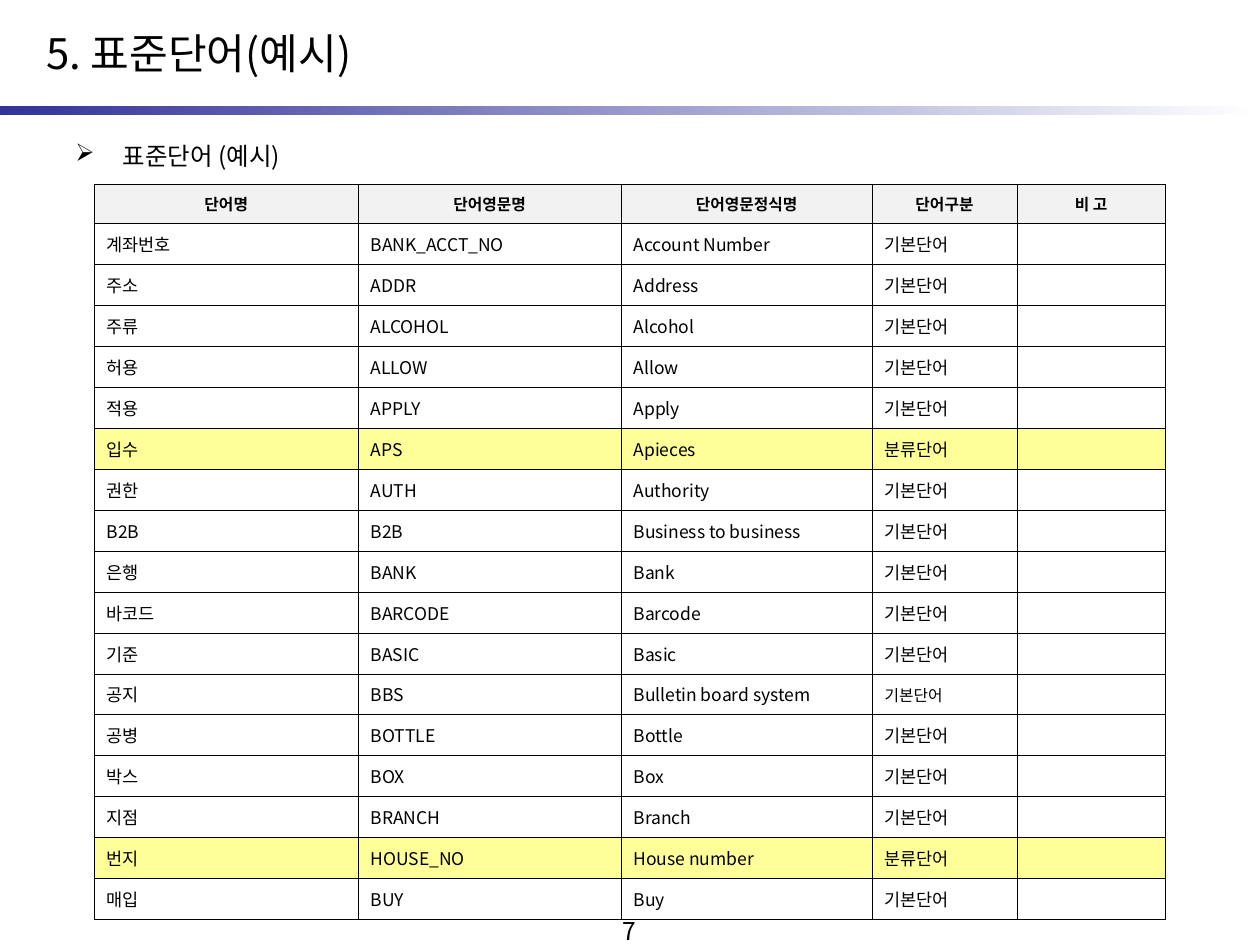
"""Build a slide that lists sample standard words in a table."""
from dataclasses import dataclass

from lxml import etree
from pptx import Presentation
from pptx import util as u
from pptx.dml.color import RGBColor
from pptx.enum import shapes, text
from pptx.oxml import ns

TITLE = "5. 표준단어(예시)"
TOPIC = "표준단어 (예시)"
PAGE = "7"
BASE, CLASS = "기본단어", "분류단어"
HEAD = ("단어명", "단어영문명", "단어영문정식명", "단어구분", "비 고")
WORDS = [
    ("계좌번호", "BANK_ACCT_NO", "Account Number", BASE),
    ("주소", "ADDR", "Address", BASE),
    ("주류", "ALCOHOL", "Alcohol", BASE),
    ("허용", "ALLOW", "Allow", BASE),
    ("적용", "APPLY", "Apply", BASE),
    ("입수", "APS", "Apieces", CLASS),
    ("권한", "AUTH", "Authority", BASE),
    ("B2B", "B2B", "Business to business", BASE),
    ("은행", "BANK", "Bank", BASE),
    ("바코드", "BARCODE", "Barcode", BASE),
    ("기준", "BASIC", "Basic", BASE),
    ("공지", "BBS", "Bulletin board system", BASE),
    ("공병", "BOTTLE", "Bottle", BASE),
    ("박스", "BOX", "Box", BASE),
    ("지점", "BRANCH", "Branch", BASE),
    ("번지", "HOUSE_NO", "House number", CLASS),
    ("매입", "BUY", "Buy", BASE),
]
SMALL = {("BBS", 3)}
COLS = (5.32, 5.3, 5.06, 2.92, 2.99)
LEFT, TOP, HIGH, FIRST = 1.9, 3.72, 14.82, 0.79
WIDE, TALL, BAND = 25.4, 19.05, 2.13
HANG = 0.95


@dataclass(frozen=True)
class Theme:
    """Hold the colours and type sizes."""
    font: str = "Noto Sans CJK KR"
    ink: str = "000000"
    bar: str = "333399"
    paper: str = "FFFFFF"
    head: str = "F2F2F2"
    mark: str = "FFFF99"
    title: float = 24
    body: float = 14
    cell: float = 10
    small: float = 9
    edge: float = 0.45


LOOK = Theme()


def rgb(code):
    """Turn a hex code into a colour."""
    return RGBColor.from_string(code)


def add(node, tag, **kw):
    """Append a child element with attributes."""
    return etree.SubElement(node, ns.qn(tag), **kw)


def write(para, words, size, bold=False, align=text.PP_ALIGN.LEFT, hang=0):
    """Fill a paragraph and set its type; return its properties."""
    para.text = words
    para.alignment = align
    font = para.font
    font.size, font.bold = u.Pt(size), bold
    font.color.rgb = rgb(LOOK.ink)
    font.name = LOOK.font
    prop = para._p.get_or_add_pPr()
    add(prop.find(ns.qn("a:defRPr")), "a:ea", typeface=LOOK.font)
    if hang:
        prop.set("marL", str(u.Cm(hang)))
        prop.set("indent", str(-u.Cm(hang)))
    if not words:
        add(para._p, "a:endParaRPr", sz=str(int(size * 100)))
    return prop


def box(slide, *place):
    """Add a wrapping text box and return its frame."""
    frame = slide.shapes.add_textbox(*map(u.Cm, place)).text_frame
    frame.word_wrap = True
    return frame


def rule(cell):
    """Draw the four borders of a cell."""
    prop = cell._tc.get_or_add_tcPr()
    for side in "LRTB":
        line = add(prop, f"a:ln{side}", w=str(u.Pt(LOOK.edge)))
        add(add(line, "a:solidFill"), "a:srgbClr", val=LOOK.ink)


def fill(cell, code):
    """Paint a cell, or leave it clear."""
    if code:
        cell.fill.solid()
        cell.fill.fore_color.rgb = rgb(code)
    else:
        cell.fill.background()


def bar(slide):
    """Add the fading bar below the title."""
    shape = slide.shapes.add_shape(
        shapes.MSO_SHAPE.RECTANGLE, 0, u.Cm(BAND), u.Cm(WIDE), u.Cm(0.2))
    shape.shadow.inherit = False
    shape.line.fill.background()
    shape.fill.gradient()
    shape.fill.gradient_angle = 0
    for stop, code in zip(shape.fill.gradient_stops, (LOOK.bar, LOOK.paper)):
        stop.color.rgb = rgb(code)


def grid(slide):
    """Add the word table."""
    rows = [HEAD] + [word + ("",) for word in WORDS]
    table = slide.shapes.add_table(
        len(rows), len(COLS), u.Cm(LEFT), u.Cm(TOP),
        u.Cm(sum(COLS)), u.Cm(HIGH)).table
    table.first_row = table.horz_banding = False
    for col, wide in zip(table.columns, COLS):
        col.width = u.Cm(wide)
    step = (HIGH - FIRST) / len(WORDS)
    for r, row in enumerate(rows):
        top = r == 0
        table.rows[r].height = u.Cm(FIRST if top else step)
        tint = LOOK.head if top else LOOK.mark if CLASS in row else None
        for c, words in enumerate(row):
            cell = table.cell(r, c)
            cell.vertical_anchor = text.MSO_ANCHOR.MIDDLE
            tiny = top or (row[1], c) in SMALL
            write(cell.text_frame.paragraphs[0], words,
                  LOOK.small if tiny else LOOK.cell, top,
                  text.PP_ALIGN.CENTER if top else text.PP_ALIGN.LEFT, HANG)
            rule(cell)
            fill(cell, tint)


def main():
    """Build and save the slide."""
    deck = Presentation()
    deck.slide_width, deck.slide_height = u.Cm(WIDE), u.Cm(TALL)
    slide = deck.slides.add_slide(deck.slide_layouts[6])
    bar(slide)

    page = box(slide, 9.73, 18.34, 5.92, 0.71)
    write(page.paragraphs[0], PAGE, LOOK.body, align=text.PP_ALIGN.CENTER)

    title = box(slide, 0, 0, WIDE, BAND)
    title.margin_left = u.Cm(0.94)
    title.vertical_anchor = text.MSO_ANCHOR.MIDDLE
    write(title.paragraphs[0], TITLE, LOOK.title)

    topic = box(slide, 1.27, 2.72, 11.3, 14.81).paragraphs[0]
    topic.space_before = u.Pt(3.5)
    prop = write(topic, TOPIC, LOOK.body, hang=HANG)
    sign = add(prop, "a:buChar", char="➢")
    prop.find(ns.qn("a:defRPr")).addprevious(sign)

    grid(slide)
    deck.save("out.pptx")


if __name__ == "__main__":
    main()
